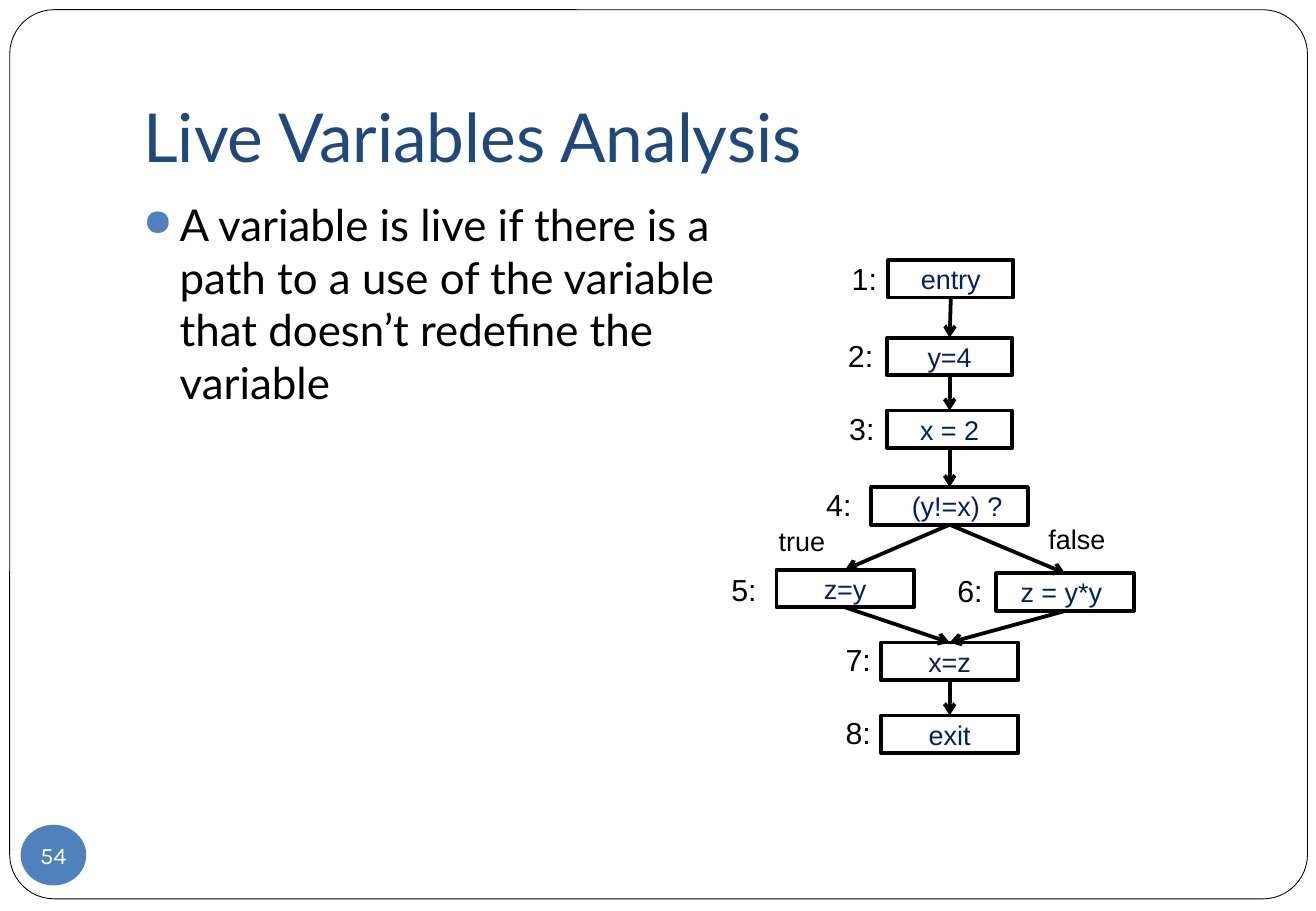
from dataclasses import dataclass

from lxml import etree
from pptx import Presentation, util as u
from pptx.dml import color
from pptx.enum import shapes, text
from pptx.oxml import ns


@dataclass(frozen=True)
class Theme:
    ink: str = "000000"
    paper: str = "FFFFFF"
    title: str = "1F497D"
    accent: str = "4F81BD"
    node: str = "002060"
    heading_font: str = "Lato"
    diagram_font: str = "Arial"
    number_font: str = "Karla"
    title_size: float = 40
    body_size: float = 26
    label_size: float = 18
    node_size: float = 16
    number_size: float = 14
    frame_line: float = 0.5
    diagram_line: float = 2.25


@dataclass(frozen=True)
class Node:
    number: int
    wording: str
    left: float
    top: float
    width: float
    label_left: float
    label_top: float
    indent_left: float = 0
    indent_right: float = 0


@dataclass(frozen=True)
class Branch:
    wording: str
    left: float
    top: float
    height: float


THEME = Theme()
NODE_HEIGHT = 0.31
NODES = [
    Node(1, "entry", 7.31, 2.14, 1.03, 6.91, 2.09),
    Node(2, "y=4", 7.3, 2.78, 1.03, 6.88, 2.73),
    Node(3, "x = 2", 7.3, 3.38, 1.03, 6.89, 3.33),
    Node(4, "(y!=x) ?", 7.17, 4.01, 1.29, 6.7, 3.95, indent_left=0.12),
    Node(5, "z=y", 6.39, 4.69, 1.13, 5.92, 4.65),
    Node(6, "z = y*y", 8.2, 4.72, 1.13, 7.78, 4.66, indent_right=0.06),
    Node(7, "x=z", 7.25, 5.29, 1.13, 6.86, 5.23),
    Node(8, "exit", 7.25, 5.89, 1.13, 6.86, 5.83),
]
FLOWS = [(1, 2), (2, 3), (3, 4), (4, 5), (4, 6), (5, 7), (6, 7), (7, 8)]
BRANCHES = [Branch("true", 6.31, 4.22, 0.36), Branch("false", 8.53, 4.2, 0.42)]


def rgb(value: str) -> color.RGBColor:
    return color.RGBColor.from_string(value)


def set_insets(frame, left: float, top: float, right: float, bottom: float) -> None:
    frame.margin_left, frame.margin_top = u.Inches(left), u.Inches(top)
    frame.margin_right, frame.margin_bottom = u.Inches(right), u.Inches(bottom)


def add_run(frame, wording: str, font: str, size: float, ink: str,
            align=text.PP_ALIGN.LEFT):
    paragraph = frame.paragraphs[0]
    paragraph.alignment = align
    run = paragraph.add_run()
    run.text = wording
    run.font.name = font
    run.font.size = u.Pt(size)
    run.font.color.rgb = rgb(ink)
    return paragraph


def add_box(slide, preset, left: float, top: float, width: float, height: float,
            fill: str, line_width: float = 0):
    shape = slide.shapes.add_shape(
        preset, u.Inches(left), u.Inches(top), u.Inches(width), u.Inches(height))
    shape.shadow.inherit = False
    shape.fill.solid()
    shape.fill.fore_color.rgb = rgb(fill)
    if line_width:
        shape.line.color.rgb = rgb(THEME.ink)
        shape.line.width = u.Pt(line_width)
    else:
        shape.line.fill.background()
    return shape


def add_text_box(slide, left: float, top: float, width: float, height: float):
    box = slide.shapes.add_textbox(
        u.Inches(left), u.Inches(top), u.Inches(width), u.Inches(height))
    box.text_frame.word_wrap = True
    return box.text_frame


def add_title(slide) -> None:
    title = slide.shapes.title
    title.left, title.top = u.Inches(1.08), u.Inches(0.3)
    title.width, title.height = u.Inches(9.21), u.Inches(1.25)
    frame = title.text_frame
    frame.auto_size = text.MSO_AUTO_SIZE.NONE
    frame.vertical_anchor = text.MSO_ANCHOR.BOTTOM
    set_insets(frame, 0.1, 0.05, 0.1, 0.1)
    add_run(frame, "Live Variables Analysis", THEME.heading_font,
            THEME.title_size, THEME.title)


def add_definition(slide) -> None:
    frame = add_text_box(slide, 1.08, 1.58, 5.11, 5)
    paragraph = add_run(
        frame,
        "A variable is live if there is a path to a use of the variable "
        "that doesn’t redefine the variable",
        THEME.heading_font, THEME.body_size, THEME.ink)
    properties = paragraph._p.get_or_add_pPr()
    properties.set("marL", str(u.Inches(0.3)))
    properties.set("indent", str(u.Inches(-0.3)))
    bullet_color = etree.SubElement(properties, ns.qn("a:buClr"))
    etree.SubElement(bullet_color, ns.qn("a:srgbClr"), val=THEME.accent)
    etree.SubElement(properties, ns.qn("a:buSzPct"), val="85000")
    etree.SubElement(properties, ns.qn("a:buChar"), char="●")


def add_node(slide, node: Node):
    shape = add_box(slide, shapes.MSO_SHAPE.RECTANGLE, node.left, node.top,
                    node.width, NODE_HEIGHT, THEME.paper, THEME.diagram_line)
    frame = shape.text_frame
    frame.vertical_anchor = text.MSO_ANCHOR.MIDDLE
    set_insets(frame, 0.1 + node.indent_left, 0.05, 0.1 + node.indent_right, 0.05)
    add_run(frame, node.wording, THEME.diagram_font, THEME.node_size,
            THEME.node, text.PP_ALIGN.CENTER)
    label = add_text_box(slide, node.label_left, node.label_top, 0.41, 0.4)
    label.word_wrap = False
    label.auto_size = text.MSO_AUTO_SIZE.SHAPE_TO_FIT_TEXT
    add_run(label, f"{node.number}:", THEME.diagram_font, THEME.label_size, THEME.ink)
    return shape


def add_flow(slide, source, target) -> None:
    connector = slide.shapes.add_connector(shapes.MSO_CONNECTOR.STRAIGHT, 0, 0, 0, 0)
    connector.begin_connect(source, 2)
    connector.end_connect(target, 0)
    connector.line.color.rgb = rgb(THEME.ink)
    connector.line.width = u.Pt(THEME.diagram_line)
    etree.SubElement(connector.line._get_or_add_ln(), ns.qn("a:tailEnd"), type="arrow")
    etree.SubElement(connector._element.spPr, ns.qn("a:effectLst"))


def add_branch(slide, branch: Branch) -> None:
    frame = add_text_box(slide, branch.left, branch.top, 0.76, branch.height)
    set_insets(frame, 0.1, 0.1, 0.1, 0.1)
    add_run(frame, branch.wording, THEME.diagram_font, THEME.node_size, THEME.ink)


def add_slide_number(slide) -> None:
    badge = add_box(slide, shapes.MSO_SHAPE.OVAL, 0.17, 6.79, 0.54, 0.5, THEME.accent)
    frame = badge.text_frame
    frame.word_wrap = False
    frame.vertical_anchor = text.MSO_ANCHOR.MIDDLE
    set_insets(frame, 0, 0, 0, 0)
    add_run(frame, "54", THEME.number_font, THEME.number_size,
            THEME.paper, text.PP_ALIGN.CENTER)


def main() -> None:
    presentation = Presentation()
    presentation.slide_width = u.Inches(10.83)
    presentation.slide_height = u.Inches(7.5)
    slide = presentation.slides.add_slide(presentation.slide_layouts[5])
    border = add_box(slide, shapes.MSO_SHAPE.ROUNDED_RECTANGLE, 0.08, 0.08,
                     10.68, 7.32, THEME.paper, THEME.frame_line)
    border.adjustments[0] = 0.05
    slide.shapes._spTree.insert(2, border._element)
    add_title(slide)
    add_definition(slide)
    boxes = {node.number: add_node(slide, node) for node in NODES}
    for source, target in FLOWS:
        add_flow(slide, boxes[source], boxes[target])
    for branch in BRANCHES:
        add_branch(slide, branch)
    add_slide_number(slide)
    presentation.save("out.pptx")


if __name__ == "__main__":
    main()
